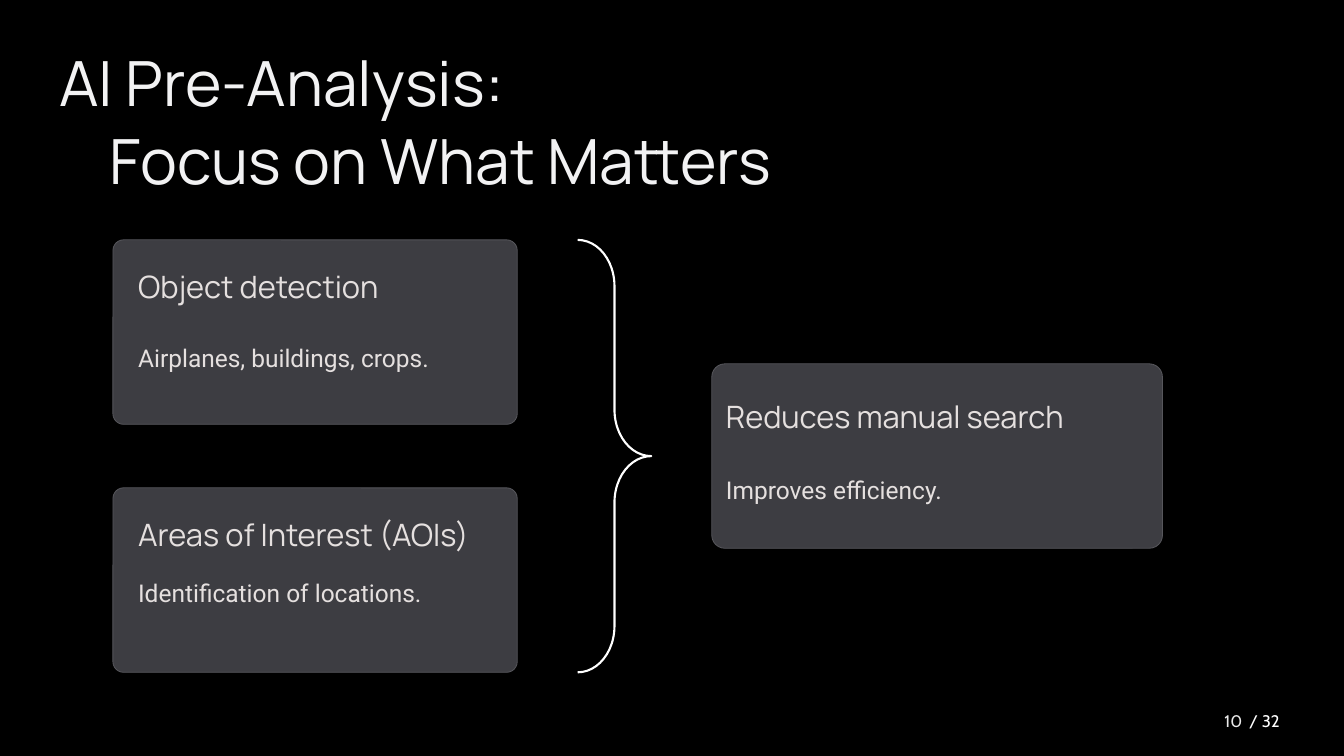
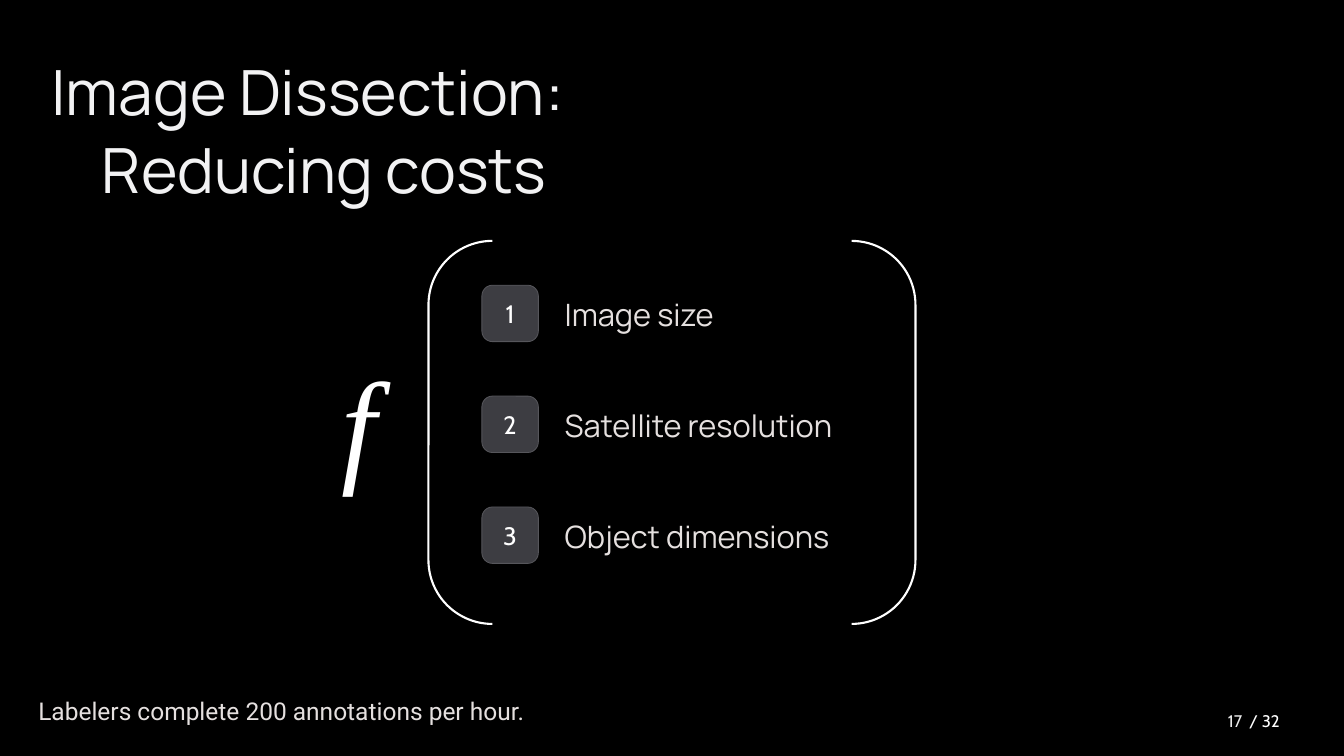
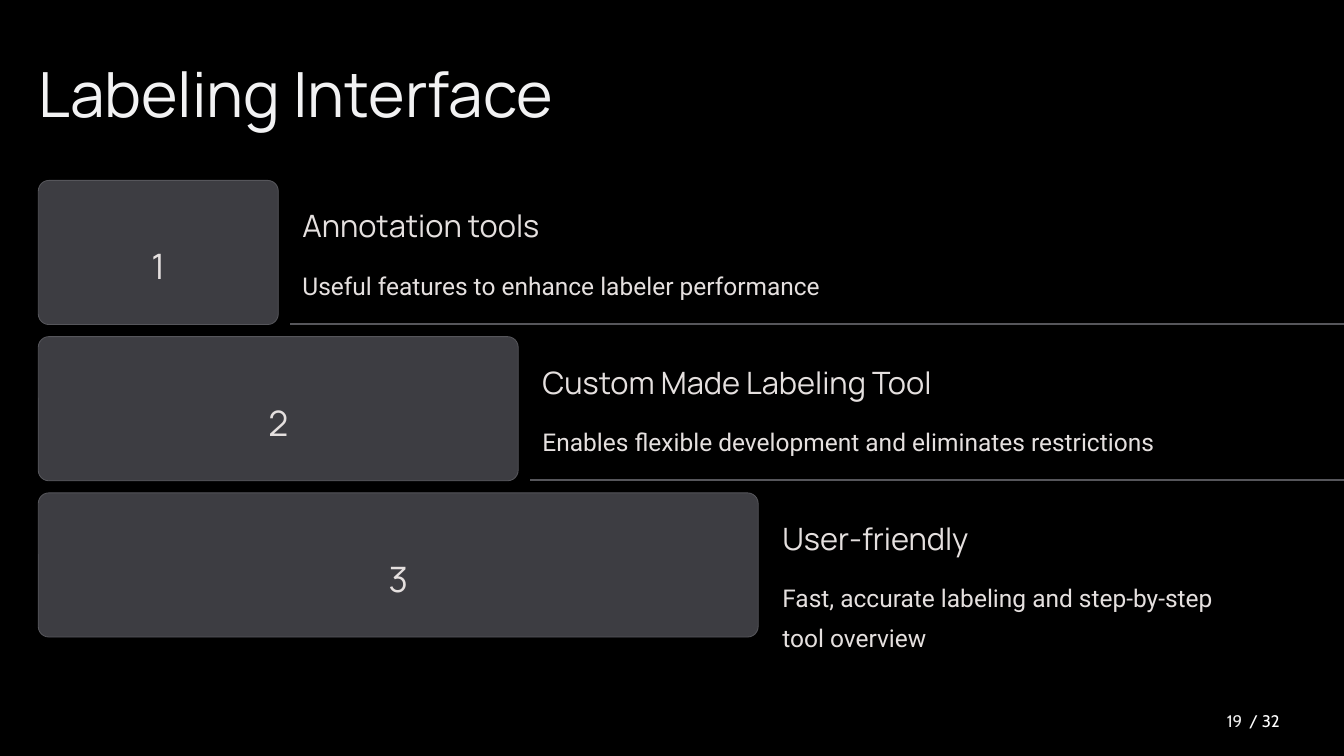
from pptx import Presentation
from pptx.dml.color import RGBColor
from pptx.enum import shapes, text
from pptx.oxml import parse_xml
from pptx.oxml.ns import nsdecls
from pptx.util import Inches, Pt

# Shared style
BLACK, WHITE, PANEL, EDGE = "000000", "FFFFFF", "3D3D42", "56565B"
TITLE_COLOR, BODY_COLOR, PAGE_COLOR = "F2F2F3", "E5E0DF", "EAEAEA"
# Each text style: font, size, colour, line spacing in points
TITLE = ("Manrope", 44.5, TITLE_COLOR, 55.5)
HEADING = ("Manrope", 22, BODY_COLOR, 27.5)
BODY = ("Roboto", 17.5, BODY_COLOR, 28.5)
NUMBER = ("Manrope", 25, BODY_COLOR, 40)
BADGE = ("Cabin", 18, WHITE, None)
PAGE = ("Cabin", 12, PAGE_COLOR, None)
TOTAL = ("Cabin", 12, WHITE, None)
SYMBOL = ("Times New Roman", 90, WHITE, None)
SLIDE_W, TOTAL_PAGES = 13.33, 32
RADIUS = 0.105
LEFT, CENTER, RIGHT = text.PP_ALIGN.LEFT, text.PP_ALIGN.CENTER, text.PP_ALIGN.RIGHT


def rgb(color):
    return RGBColor.from_string(color)


def write(tf, content, style, align=LEFT):
    """Fill a text frame, one paragraph per line, in one style."""
    font, size, color, spacing = style
    tf.word_wrap = True
    tf.text = content
    for p in tf.paragraphs:
        p.alignment = align
        if spacing:
            p.line_spacing = Pt(spacing)
        for r in p.runs:
            r.font.name, r.font.size = font, Pt(size)
            r.font.color.rgb = rgb(color)


def add_text(s, x, y, w, h, content, style, align=LEFT, inset=0):
    tf = s.shapes.add_textbox(Inches(x), Inches(y), Inches(w), Inches(h)).text_frame
    tf.margin_left = tf.margin_right = Inches(inset)
    tf.margin_top = tf.margin_bottom = Inches(inset / 2)
    write(tf, content, style, align)
    return tf


def add_panel(s, x, y, w, h, radius=RADIUS):
    sp = s.shapes.add_shape(shapes.MSO_SHAPE.ROUNDED_RECTANGLE,
                            Inches(x), Inches(y), Inches(w), Inches(h))
    sp.shadow.inherit = False
    sp.adjustments[0] = radius / h
    sp.fill.solid()
    sp.fill.fore_color.rgb = rgb(PANEL)
    sp.line.color.rgb = rgb(EDGE)
    sp.line.width = Pt(0.6)
    return sp


def add_outline(s, kind, x, y, w, h):
    sp = s.shapes.add_shape(kind, Inches(x), Inches(y), Inches(w), Inches(h))
    sp.shadow.inherit = False
    sp.fill.background()
    sp.line.color.rgb = rgb(WHITE)
    sp.line.width = Pt(1.5)
    return sp


def add_rule(s, x, y):
    """Horizontal line from x to the right edge of the slide."""
    line = s.shapes.add_connector(shapes.MSO_CONNECTOR.STRAIGHT, Inches(x),
                                  Inches(y), Inches(SLIDE_W), Inches(y))
    line.line.color.rgb = rgb(EDGE)
    line.line.width = Pt(1.5)
    line._element.spPr.append(parse_xml(f"<a:effectLst {nsdecls('a')}/>"))


def add_card(s, x, y, w, heading, body, pad=0.25, heading_dy=0.26,
             body_dy=0.92, radius=RADIUS):
    add_panel(s, x, y, w, 1.83, radius)
    add_text(s, x + pad, y + heading_dy, w - pad, 0.39, heading, HEADING)
    add_text(s, x + pad, y + body_dy, w - pad, 0.4, body, BODY)


def new_slide(prs, page, title, x, y):
    """Slide with its title, later title lines indented, and page number."""
    s = prs.slides.add_slide(prs.slide_layouts[6])
    tf = add_text(s, x, y, 12, 0.78 * len(title.split("\n")), title, TITLE)
    for p in tf.paragraphs[1:]:
        p._p.get_or_add_pPr().set("marL", str(Inches(0.5)))
    tf = add_text(s, 9.42, 6.95, 3, 0.4, str(page), PAGE, RIGHT, inset=0.1)
    tf.vertical_anchor = text.MSO_ANCHOR.MIDDLE
    add_text(s, 12.29, 7, 0.92, 0.3, f"/ {TOTAL_PAGES}", TOTAL, inset=0.1)
    return s


def pre_analysis(prs):
    s = new_slide(prs, 10, "AI Pre-Analysis:\nFocus on What Matters", 0.59, 0.41)
    add_card(s, 1.12, 2.38, 4.01, "Object detection", "Airplanes, buildings, crops.")
    add_card(s, 1.12, 4.84, 4.01, "Areas of Interest (AOIs)",
             "Identification of locations.", body_dy=0.79)
    add_card(s, 7.06, 3.61, 4.47, "Reduces manual search", "Improves efficiency.",
             pad=0.14, heading_dy=0.32, body_dy=1, radius=0.13)
    brace = add_outline(s, shapes.MSO_SHAPE.RIGHT_BRACE, 5.73, 2.38, 0.73, 4.29)
    brace.adjustments[0], brace.adjustments[1] = 0.63, 0.5


def image_dissection(prs):
    s = new_slide(prs, 17, "Image Dissection:\nReducing costs", 0.51, 0.5)
    add_text(s, 0.38, 6.8, 8, 0.4, "Labelers complete 200 annotations per hour.", BODY)

    # Function symbol with its bracketed arguments
    tf = add_text(s, 3.29, 3.37, 0.55, 1.62, "f", SYMBOL, inset=0.1)
    tf.paragraphs[0].runs[0].font.italic = True
    add_outline(s, shapes.MSO_SHAPE.DOUBLE_BRACKET, 4.25, 2.39, 4.83, 3.8)
    factors = ["Image size", "Satellite resolution", "Object dimensions"]
    for i, factor in enumerate(factors):
        y = 2.83 + 1.1 * i
        badge = add_panel(s, 4.78, y, 0.56, 0.56)
        write(badge.text_frame, str(i + 1), BADGE, CENTER)
        badge.text_frame.vertical_anchor = text.MSO_ANCHOR.MIDDLE
        add_text(s, 5.6, y + 0.09, 3.19, 0.39, factor, HEADING)


def labeling_interface(prs):
    s = new_slide(prs, 19, "Labeling Interface", 0.38, 0.52)
    steps = [
        ("Annotation tools", "Useful features to enhance labeler performance"),
        ("Custom Made Labeling Tool",
         "Enables flexible development and eliminates restrictions"),
        ("User-friendly", "Fast, accurate labeling and step-by-step\ntool overview"),
    ]
    # Each step is one unit wider than the step above
    left, unit = 0.38, 2.38
    for i, (heading, body) in enumerate(steps):
        y, w = 1.79 + 1.55 * i, unit * (i + 1)
        x = left + w + 0.24
        add_panel(s, left, y, w, 1.43)
        add_text(s, left, y + 0.5, w, 0.44, str(i + 1), NUMBER, CENTER)
        add_text(s, x, y + 0.25, 5.3, 0.39, heading, HEADING)
        add_text(s, x, y + 0.79, SLIDE_W - x, 0.4 * len(body.split("\n")), body, BODY)
        if i < len(steps) - 1:
            add_rule(s, x - 0.12, y + 1.42)


def main():
    prs = Presentation()
    prs.slide_width, prs.slide_height = Inches(SLIDE_W), Inches(7.5)
    fill = prs.slide_master.background.fill
    fill.solid()
    fill.fore_color.rgb = rgb(BLACK)
    pre_analysis(prs)
    image_dissection(prs)
    labeling_interface(prs)
    prs.save("out.pptx")


if __name__ == "__main__":
    main()
